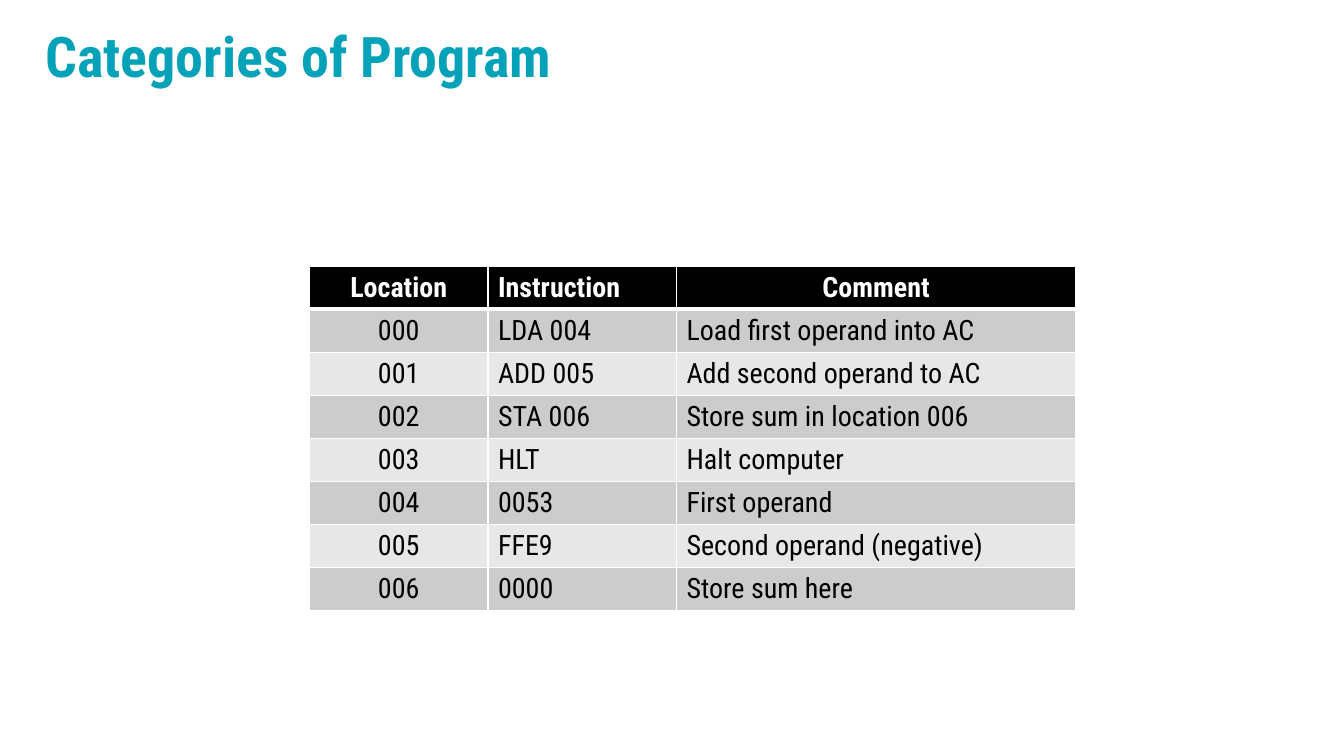
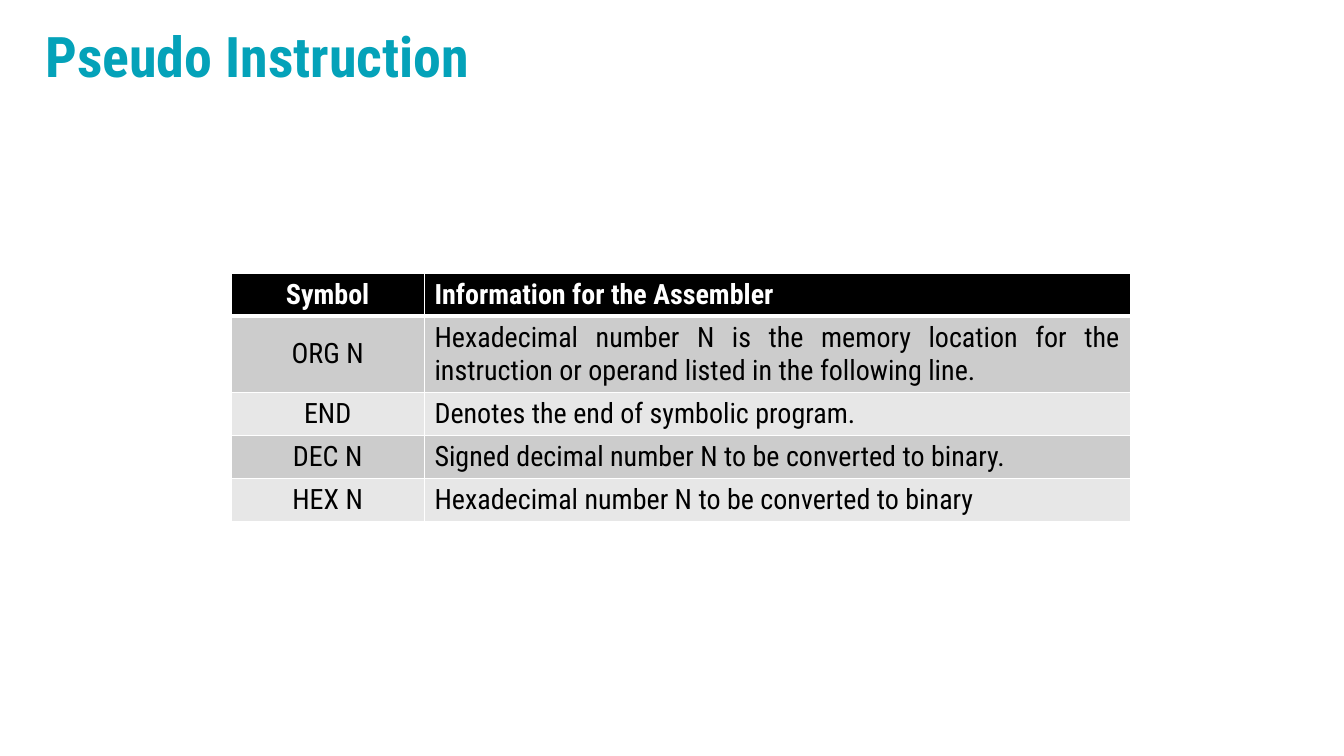
from dataclasses import dataclass

from lxml.etree import SubElement
from pptx import Presentation
from pptx.dml.color import RGBColor
from pptx.enum.text import MSO_ANCHOR, MSO_AUTO_SIZE, PP_ALIGN
from pptx.oxml.ns import qn
from pptx.util import Inches, Pt


@dataclass(frozen=True)
class Theme:
    font: str = "Roboto Condensed"
    title: str = "04A2B9"
    head: str = "000000"
    ink: str = "000000"
    white: str = "FFFFFF"
    bands: tuple = ("CCCCCC", "E7E7E7")
    big: int = 40
    text: int = 20
    thin: int = 1
    thick: int = 3


THEME = Theme()
LEFT, MID, FULL = PP_ALIGN.LEFT, PP_ALIGN.CENTER, PP_ALIGN.JUSTIFY
TITLE = (0.35, 0.14, 10.1, 0.89)


def style(para, size, color, bold, align):
    para.alignment = align
    para.font.name = THEME.font
    para.font.size = Pt(size)
    para.font.bold = bold
    para.font.color.rgb = RGBColor.from_string(color)


def add_title(slide, text, box):
    shape = slide.shapes.title
    shape.left, shape.top, shape.width, shape.height = map(Inches, box)
    frame = shape.text_frame
    frame.text = text
    frame.auto_size = MSO_AUTO_SIZE.NONE
    frame.vertical_anchor = MSO_ANCHOR.MIDDLE
    para = frame.paragraphs[0]
    para.line_spacing = 0.9
    style(para, THEME.big, THEME.title, True, LEFT)


def add_edges(cell, top, base):
    props = cell._tc.get_or_add_tcPr()
    edges = {"L": THEME.thin, "R": THEME.thin, "T": top, "B": base}
    for side, width in edges.items():
        line = SubElement(props, qn(f"a:ln{side}"), w=str(Pt(width)))
        fill = SubElement(line, qn("a:solidFill"))
        SubElement(fill, qn("a:srgbClr"), val=THEME.white)


def fill_cell(cell, text, row, align):
    head = row == 0
    add_edges(cell, THEME.thick if row == 1 else THEME.thin,
              THEME.thick if head else THEME.thin)
    cell.fill.solid()
    color = THEME.head if head else THEME.bands[(row - 1) % 2]
    cell.fill.fore_color.rgb = RGBColor.from_string(color)
    cell.text = text
    style(cell.text_frame.paragraphs[0], THEME.text,
          THEME.white if head else THEME.ink, head, align)


def add_grid(slide, rows, spot, widths, high, heads, aligns):
    left, top = spot
    box = map(Inches, (left, top, sum(widths), high * len(rows)))
    table = slide.shapes.add_table(len(rows), len(widths), *box).table
    table.horz_banding = False
    for col, width in zip(table.columns, widths):
        col.width = Inches(width)
    for r, row in enumerate(rows):
        table.rows[r].height = Inches(high)
        for c, text in enumerate(row):
            align = aligns[c] if r else heads[c]
            fill_cell(table.cell(r, c), text, r, align)
    return table


def add_slide(deck, title):
    slide = deck.slides.add_slide(deck.slide_layouts.get_by_name("Title Only"))
    add_title(slide, title, TITLE)
    return slide


def add_program(deck):
    slide = add_slide(deck, "Categories of Program")
    rows = [
        ("Location", "Instruction", "Comment"),
        ("000", "LDA 004", "Load first operand into AC"),
        ("001", "ADD 005", "Add second operand to AC"),
        ("002", "STA 006", "Store sum in location 006"),
        ("003", "HLT", "Halt computer"),
        ("004", "0053", "First operand"),
        ("005", "FFE9", "Second operand (negative)"),
        ("006", "0000", "Store sum here"),
    ]
    add_grid(slide, rows, (3.07, 2.64), (1.77, 1.87, 3.96), 0.35,
             (MID, LEFT, MID), (MID, LEFT, LEFT))


def add_pseudo(deck):
    slide = add_slide(deck, "Pseudo Instruction")
    rows = [
        ("Symbol", "Information for the Assembler"),
        ("ORG N", "Hexadecimal number N is the memory location for the "
                  "instruction or operand listed in the following line."),
        ("END", "Denotes the end of symbolic program."),
        ("DEC N", "Signed decimal number N to be converted to binary."),
        ("HEX N", "Hexadecimal number N to be converted to binary"),
    ]
    table = add_grid(slide, rows, (2.29, 2.71), (1.92, 7), 0.42,
                     (MID, LEFT), (MID, LEFT))
    table.cell(1, 0).vertical_anchor = MSO_ANCHOR.MIDDLE
    table.cell(1, 1).text_frame.paragraphs[0].alignment = FULL


def main():
    deck = Presentation()
    deck.slide_width, deck.slide_height = Inches(13.33), Inches(7.5)
    add_program(deck)
    add_pseudo(deck)
    deck.save("out.pptx")


if __name__ == "__main__":
    main()
